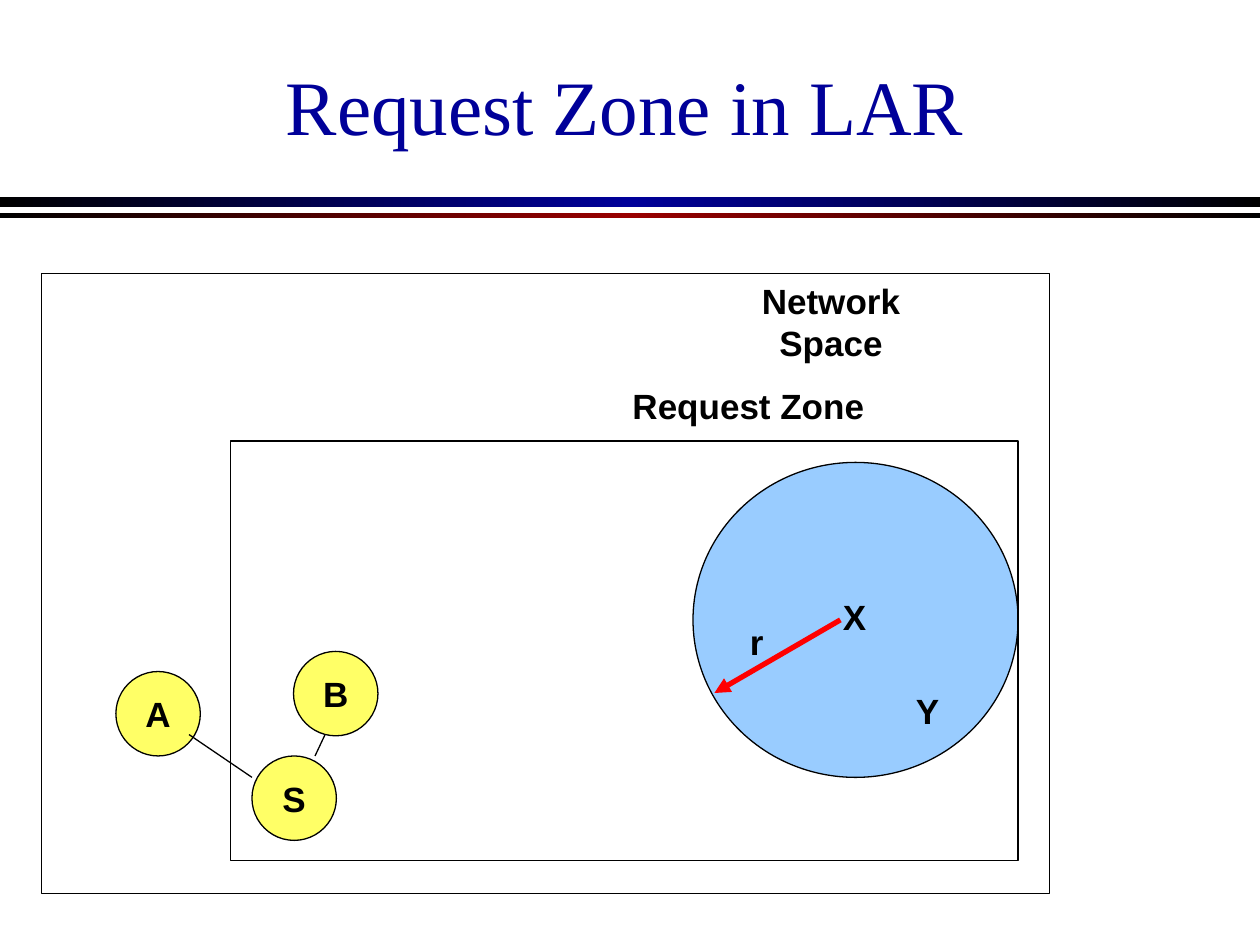
import copy

import lxml.etree
import pptx
import pptx.dml.color
import pptx.enum.shapes
import pptx.enum.text
import pptx.oxml.ns
import pptx.util

Inches = pptx.util.Inches
Pt = pptx.util.Pt
qn = pptx.oxml.ns.qn
SHAPE = pptx.enum.shapes.MSO_SHAPE
ANCHOR = pptx.enum.text.MSO_ANCHOR

BLACK, NAVY, MAROON, RED = "000000", "000099", "990000", "FF0000"
SKY, YELLOW = "99CCFF", "FFFF66"
NODE_SIZE = 0.67

TITLE = ("Request Zone in LAR", (0.67, 0.83, 8.58, 0.42))
RULES = [((0, 1.56, 10, 0.08), NAVY), ((0, 1.69, 10, 0.04), MAROON)]
EXPECTED_ZONE = (5.5, 3.67, 2.58, 2.5)
ZONES = [(1.83, 3.5, 6.25, 3.33), (0.33, 2.17, 8, 4.92)]
LABELS = [
    ("X", (6.59, 4.67, 0.38, 0.44)),
    ("Y", (7.17, 5.42, 0.38, 0.44)),
    ("r", (5.85, 4.87, 0.31, 0.44)),
    ("Request Zone", (4.92, 3, 2.04, 0.44)),
    ("Network Space", (5.5, 2.33, 2.19, 0.44)),
]
NODES = [("S", 2, 6), ("B", 2.33, 5.17), ("A", 0.92, 5.33)]
RADIUS = ((6.67, 4.92), (5.67, 5.5))
LINKS = [((1.5, 5.83), (2, 6.17)), ((2.58, 5.83), (2.5, 6))]


def color(value):
    return pptx.dml.color.RGBColor.from_string(value)


def write(shape, text, size=20, font="Arial", ink=BLACK, bold=True,
          anchor=ANCHOR.MIDDLE, wrap=False):
    frame = shape.text_frame
    frame.word_wrap = wrap
    frame.vertical_anchor = anchor
    frame.text = text
    paragraph = frame.paragraphs[0]
    paragraph.alignment = pptx.enum.text.PP_ALIGN.CENTER
    style = paragraph.runs[0].font
    style.size, style.name, style.bold = Pt(size), font, bold
    style.color.rgb = color(ink)


def add_text(slide, text, box, **style):
    write(slide.shapes.add_textbox(*map(Inches, box)), text, **style)


def add_outline(slide, kind, box, fill=None):
    shape = slide.shapes.add_shape(kind, *map(Inches, box))
    shape.shadow.inherit = False
    if fill:
        shape.fill.solid()
        shape.fill.fore_color.rgb = color(fill)
    else:
        shape.fill.background()
    shape.line.color.rgb = color(BLACK)
    shape.line.width = Pt(0.75)
    return shape


def add_rule(slide, box, middle):
    rule = slide.shapes.add_shape(SHAPE.RECTANGLE, *map(Inches, box))
    rule.shadow.inherit = False
    rule.line.fill.background()
    rule.fill.gradient()
    rule.fill.gradient_angle = 0
    stop_list = rule.element.spPr.find(".//" + qn("a:gsLst"))
    stop_list.append(copy.deepcopy(stop_list[0]))
    stops = zip(rule.fill.gradient_stops, (0, 0.5, 1), (BLACK, middle, BLACK))
    for stop, position, shade in stops:
        stop.position = position
        stop.color.rgb = color(shade)


def add_line(slide, ends, ink=BLACK, width=0.75, arrow=False):
    start, end = ends
    line = slide.shapes.add_connector(
        pptx.enum.shapes.MSO_CONNECTOR.STRAIGHT, *map(Inches, start + end))
    line.line.color.rgb = color(ink)
    line.line.width = Pt(width)
    properties = line.element.spPr
    if arrow:
        stroke = properties.find(qn("a:ln"))
        lxml.etree.SubElement(stroke, qn("a:tailEnd"), type="triangle")
    lxml.etree.SubElement(properties, qn("a:effectLst"))


def main():
    deck = pptx.Presentation()
    deck.slide_width, deck.slide_height = Inches(10), Inches(7.5)
    slide = deck.slides.add_slide(deck.slide_layouts[6])

    for box, middle in RULES:
        add_rule(slide, box, middle)
    add_text(slide, *TITLE, size=44, font="Times New Roman", ink=NAVY,
             bold=False, anchor=ANCHOR.BOTTOM, wrap=True)
    add_outline(slide, SHAPE.OVAL, EXPECTED_ZONE, SKY)
    for zone in ZONES:
        add_outline(slide, SHAPE.RECTANGLE, zone)
    add_line(slide, RADIUS, RED, 3, arrow=True)
    for text, box in LABELS:
        add_text(slide, text, box)
    for name, left, top in NODES:
        box = (left, top, NODE_SIZE, NODE_SIZE)
        write(add_outline(slide, SHAPE.OVAL, box, YELLOW), name)
    for link in LINKS:
        add_line(slide, link)

    deck.save("out.pptx")


if __name__ == "__main__":
    main()
